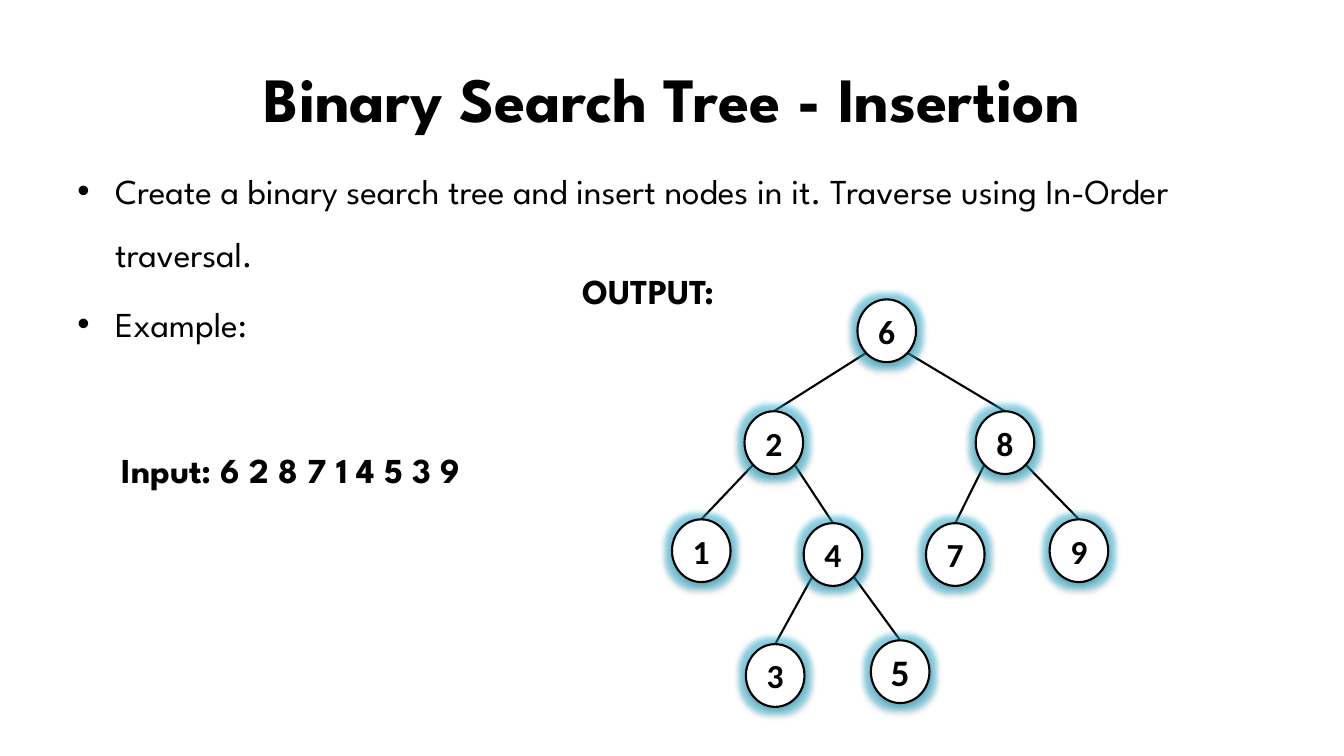
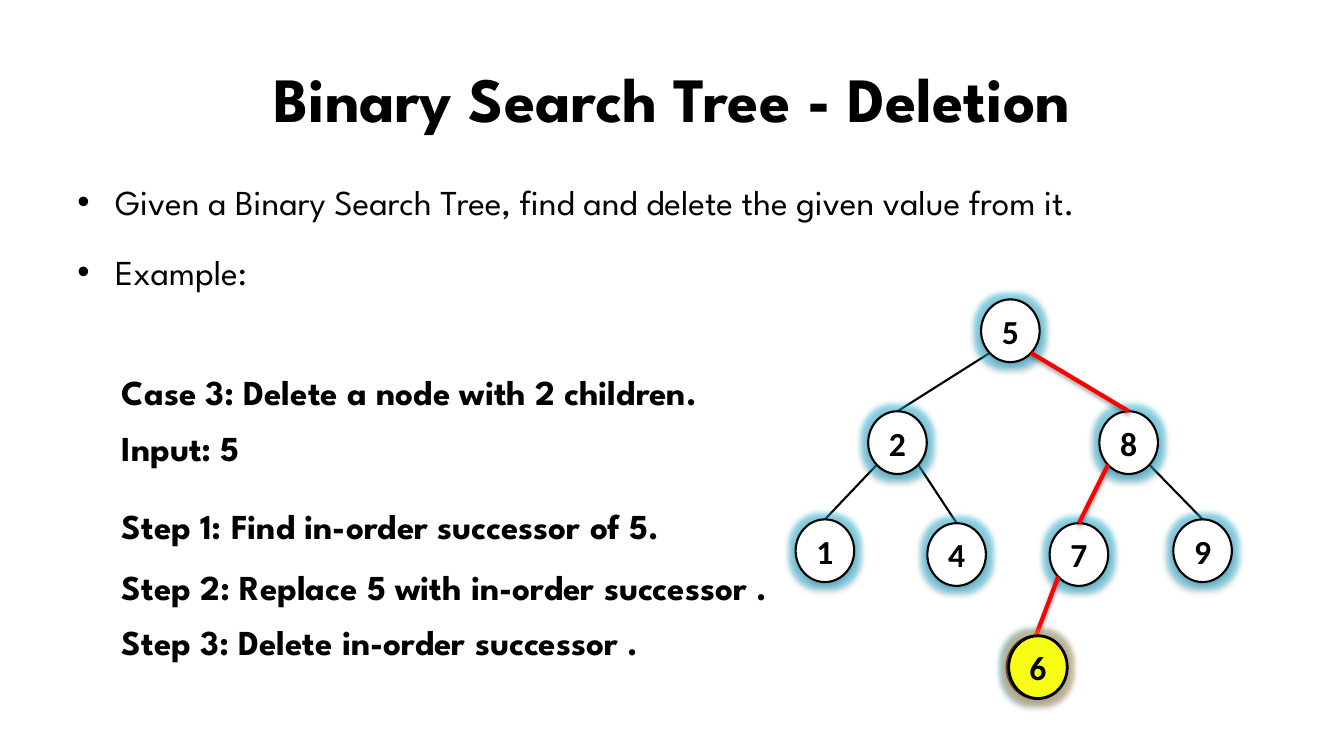
from lxml import etree
from pptx import Presentation
from pptx.dml.color import RGBColor
from pptx.enum.shapes import MSO_CONNECTOR, MSO_SHAPE
from pptx.enum.text import MSO_ANCHOR, MSO_AUTO_SIZE, PP_ALIGN
from pptx.oxml.ns import qn
from pptx.util import Inches, Pt

WIDE, HIGH = Inches(13.33), Inches(7.5)
OVAL, LINE = MSO_SHAPE.OVAL, MSO_CONNECTOR.STRAIGHT
MID, CENTER = MSO_ANCHOR.MIDDLE, PP_ALIGN.CENTER
FIXED = MSO_AUTO_SIZE.NONE
HEAD, DIGIT = "League Spartan", "Calibri"
INK = {"text": "000000", "node": "FFFFFF", "path": "FF0000",
       "mark": "F6FC14", "cyan": "1FB8DF", "warm": "F79646"}

# All lengths are percentages of the slide's width or height.
MARGIN, SPAN, INDENT = 5, 90, 8.33
NODE_W, NODE_H = 4.36, 8.3
CORNER = 0.146  # inset of a circle's diagonal points
TREE_TOP = 39.6
# Heap numbers: the children of n are 2n and 2n + 1.
SPOTS = {1: (13.8, 0), 2: (5.4, 14.8), 3: (22.6, 14.8),
         4: (0, 29.1), 5: (9.8, 29.6), 6: (18.9, 29.6), 7: (28.1, 29.1),
         10: (5.5, 45.6), 11: (14.8, 45.1), 12: (15.7, 44.5)}


def across(share):
    return round(WIDE * share / 100)


def down(share):
    return round(HIGH * share / 100)


def box(x, y, w, h):
    return across(x), down(y), across(w), down(h)


def rgb(name):
    return RGBColor.from_string(INK[name])


def style(para, size, face=HEAD, bold=True):
    font = para.font
    font.name, font.size, font.bold = face, Pt(size), bold
    font.color.rgb = rgb("text")


def tint(parent, name, alpha):
    color = etree.SubElement(parent, qn("a:srgbClr"), val=INK[name])
    etree.SubElement(color, qn("a:alpha"), val=str(alpha * 1000))


def effects(props, glow=None, shade=True):
    """Replace the theme's effects by an optional glow and shadow."""
    old = props.find(qn("a:effectLst"))
    if old is not None:
        props.remove(old)
    group = etree.SubElement(props, qn("a:effectLst"))
    if glow:
        halo = etree.SubElement(group, qn("a:glow"), rad=str(Pt(8)))
        tint(halo, glow, 45)
    if shade:
        drop = etree.SubElement(group, qn("a:outerShdw"), blurRad=str(Pt(3.1)),
                                dist=str(Pt(1.8)), dir="5400000", rotWithShape="0")
        tint(drop, "text", 35)


def fill_holder(holder, area, lines, size, bold, gap):
    holder.left, holder.top, holder.width, holder.height = area
    frame = holder.text_frame
    frame.text = "\n".join(lines)
    frame.auto_size = FIXED
    for para in frame.paragraphs:
        style(para, size, bold=bold)
        para.line_spacing = gap
    return frame


def start(deck, title, points, top):
    """Add a slide with its title and bullet list."""
    slide = deck.slides.add_slide(deck.slide_layouts[1])
    head, body = slide.placeholders
    frame = fill_holder(head, box(MARGIN, 4, SPAN, 16.67), [title], 45, True, 1.1)
    frame.vertical_anchor = MID
    frame.paragraphs[0].alignment = CENTER
    fill_holder(body, box(MARGIN, top, SPAN, 66), points, 25, False, 1.5)
    return slide


def label(slide, text, x, y):
    frame = slide.shapes.add_textbox(*box(x, y, 56, 9)).text_frame
    frame.word_wrap = True
    frame.text = text
    para = frame.paragraphs[0]
    para.line_spacing = 1.5
    style(para, 25)


def node(slide, left, spot, text, fill="node", edge=1.5, glow="cyan", size=24):
    x, y = spot
    disc = slide.shapes.add_shape(OVAL, *box(left + x, TREE_TOP + y, NODE_W, NODE_H))
    disc.fill.solid()
    disc.fill.fore_color.rgb = rgb(fill)
    disc.line.color.rgb = rgb("text")
    disc.line.width = Pt(edge)
    effects(disc._element.spPr, glow, fill == "node")
    frame = disc.text_frame
    frame.word_wrap = False
    frame.margin_left = frame.margin_right = 0
    frame.vertical_anchor = MID
    frame.text = text
    para = frame.paragraphs[0]
    para.alignment = CENTER
    style(para, size, DIGIT)


def branch(slide, left, child, color="text", width=1.5):
    """Join a child's top to the lower left or right of its parent."""
    x, y = SPOTS[child // 2]
    end, drop = SPOTS[child]
    side = 1 - CORNER if child % 2 else CORNER
    line = slide.shapes.add_connector(
        LINE, across(left + x + side * NODE_W),
        down(TREE_TOP + y + (1 - CORNER) * NODE_H),
        across(left + end + NODE_W / 2), down(TREE_TOP + drop))
    line.line.color.rgb = rgb(color)
    line.line.width = Pt(width)
    effects(line._element.spPr, shade=color == "path")


def tree(slide, left, keys, route=(), sizes=None):
    """Draw keys by heap number, with the branches in route in red."""
    for spot in keys:
        if spot > 1 and spot not in route:
            branch(slide, left, spot)
    for spot, key in keys.items():
        node(slide, left, SPOTS[spot], str(key), size=(sizes or {}).get(spot, 24))
    for spot in route:
        branch(slide, left, spot, "path", 3)


def insertion(deck):
    slide = start(deck, "Binary Search Tree - Insertion", [
        "Create a binary search tree and insert nodes in it. "
        "Traverse using In-Order traversal.", "Example:"], 18.93)
    tree(slide, 50, {1: 6, 2: 2, 3: 8, 4: 1, 5: 4, 6: 7, 7: 9, 10: 3, 11: 5},
         sizes={11: 26.7})
    label(slide, "Input: 6 2 8 7 1 4 5 3 9", INDENT, 55.87)
    label(slide, "OUTPUT:", 42.6, 32.27)


def deletion(deck):
    slide = start(deck, "Binary Search Tree - Deletion", [
        "Given a Binary Search Tree, find and delete the given value from it.",
        "Example:"], 20.4)
    rows = {"Case 3: Delete a node with 2 children.": 45.6,
            "Input: 5": 52.93,
            "Step 1: Find in-order successor of 5.": 63.33,
            "Step 2: Replace 5 with in-order successor .": 71.33,
            "Step 3: Delete in-order successor .": 78.67}
    for text, top in rows.items():
        label(slide, text, INDENT, top)
    left = 59.2
    tree(slide, left, {1: 5, 2: 2, 3: 8, 4: 1, 5: 4, 6: 7, 7: 9, 12: 6},
         route=(3, 6, 12))
    x, y = SPOTS[12]
    node(slide, left, (x + 0.15, y), "6", "mark", 2, "warm")


def main():
    deck = Presentation()
    deck.slide_width, deck.slide_height = WIDE, HIGH
    insertion(deck)
    deletion(deck)
    deck.save("out.pptx")


if __name__ == "__main__":
    main()
